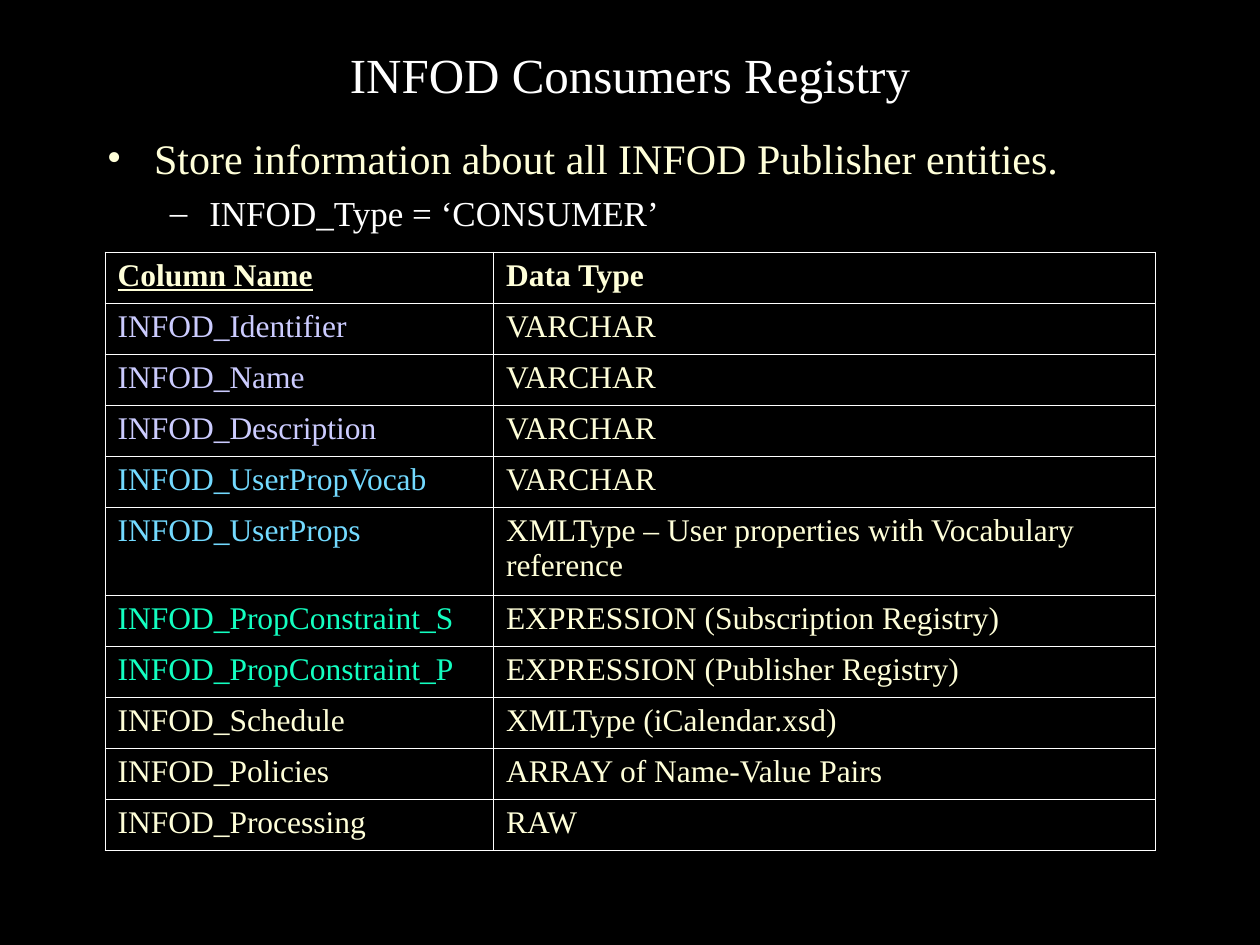
from dataclasses import dataclass
from typing import Any

from lxml import etree
from pptx import Presentation
from pptx import util as u
from pptx.dml import color
from pptx.enum import text
from pptx.oxml import ns

Pt = u.Pt


@dataclass(frozen=True)
class Theme:
    font: str = "Times New Roman"
    background: str = "000000"
    white: str = "FFFFFF"
    cream: str = "FFFFD9"
    lavender: str = "CCCCFF"
    sky: str = "73DAFF"
    mint: str = "13FFC1"
    title_size: float = 28
    point_size: float = 24
    subpoint_size: float = 20
    table_size: float = 18
    border_width: float = 0.45


@dataclass(frozen=True)
class Bullet:
    wording: str
    mark: str
    level: int
    left: float
    hang: float
    before: float
    size: float
    ink: str


@dataclass(frozen=True)
class Field:
    name: str
    data_type: str
    ink: str
    height: float


THEME = Theme()
TABLE_HEIGHT = 342
TALL_ROW = 50.4
ROW = (TABLE_HEIGHT - TALL_ROW) / 10

BULLETS = [
    Bullet("Store information about all INFOD Publisher entities.", "•", 0,
           27, 27, 0, THEME.point_size, THEME.cream),
    Bullet("INFOD_Type = ‘CONSUMER’", "–", 1,
           58.5, 22.5, 5, THEME.subpoint_size, THEME.white),
]

FIELDS = [
    Field("Column Name", "Data Type", THEME.cream, ROW),
    Field("INFOD_Identifier", "VARCHAR", THEME.lavender, ROW),
    Field("INFOD_Name", "VARCHAR", THEME.lavender, ROW),
    Field("INFOD_Description", "VARCHAR", THEME.lavender, ROW),
    Field("INFOD_UserPropVocab", "VARCHAR", THEME.sky, ROW),
    Field("INFOD_UserProps", "XMLType – User properties with Vocabulary reference",
          THEME.sky, TALL_ROW),
    Field("INFOD_PropConstraint_S", "EXPRESSION (Subscription Registry)", THEME.mint, ROW),
    Field("INFOD_PropConstraint_P", "EXPRESSION (Publisher Registry)", THEME.mint, ROW),
    Field("INFOD_Schedule", "XMLType (iCalendar.xsd)", THEME.cream, ROW),
    Field("INFOD_Policies", "ARRAY of Name-Value Pairs", THEME.cream, ROW),
    Field("INFOD_Processing", "RAW", THEME.cream, ROW),
]


def apply(target: Any, values: dict[str, Any]) -> None:
    for attribute, value in values.items():
        setattr(target, attribute, value)


def write(paragraph: Any, wording: str, size: float, ink: str, **extra: Any) -> None:
    run = paragraph.add_run()
    run.text = wording
    apply(run.font, {"name": THEME.font, "size": Pt(size), **extra})
    run.font.color.rgb = color.RGBColor.from_string(ink)


def add_frame(slide: Any, left: float, top: float, width: float, height: float,
              anchor: Any) -> Any:
    frame = slide.shapes.add_textbox(Pt(left), Pt(top), Pt(width), Pt(height)).text_frame
    apply(frame, {"word_wrap": True, "vertical_anchor": anchor})
    return frame


def add_bullet(paragraph: Any, bullet: Bullet) -> None:
    apply(paragraph, {"level": bullet.level, "space_before": Pt(bullet.before)})
    properties = paragraph._p.get_or_add_pPr()
    properties.set("marL", str(Pt(bullet.left)))
    properties.set("indent", str(-Pt(bullet.hang)))
    tint = etree.SubElement(properties, ns.qn("a:buClr"))
    etree.SubElement(tint, ns.qn("a:srgbClr"), val=bullet.ink)
    etree.SubElement(properties, ns.qn("a:buFont"), typeface=THEME.font)
    etree.SubElement(properties, ns.qn("a:buChar"), char=bullet.mark)
    write(paragraph, bullet.wording, bullet.size, bullet.ink)


def add_borders(cell: Any) -> None:
    properties = cell._tc.get_or_add_tcPr()
    for position, side in enumerate(("lnL", "lnR", "lnT", "lnB")):
        border = etree.Element(ns.qn(f"a:{side}"), w=str(Pt(THEME.border_width)))
        fill = etree.SubElement(border, ns.qn("a:solidFill"))
        etree.SubElement(fill, ns.qn("a:srgbClr"), val=THEME.white)
        properties.insert(position, border)


def fill_cell(cell: Any, wording: str, ink: str, bold: bool, underline: bool) -> None:
    cell.fill.background()
    add_borders(cell)
    write(cell.text_frame.paragraphs[0], wording, THEME.table_size, ink,
          bold=bold, underline=underline)


def add_registry(slide: Any, fields: list[Field]) -> None:
    registry = slide.shapes.add_table(len(fields), 2, Pt(60), Pt(144),
                                      Pt(600), Pt(TABLE_HEIGHT)).table
    apply(registry, {"first_row": False, "horz_banding": False})
    for column, width in zip(registry.columns, (222, 378)):
        column.width = Pt(width)
    for index, field in enumerate(fields):
        header = index == 0
        registry.rows[index].height = Pt(field.height)
        fill_cell(registry.cell(index, 0), field.name, field.ink, header, header)
        fill_cell(registry.cell(index, 1), field.data_type, THEME.cream, header, False)


def main() -> None:
    deck = Presentation()
    apply(deck, {"slide_width": Pt(720), "slide_height": Pt(540)})
    slide = deck.slides.add_slide(deck.slide_layouts[6])
    backdrop = slide.background.fill
    backdrop.solid()
    backdrop.fore_color.rgb = color.RGBColor.from_string(THEME.background)

    heading = add_frame(slide, 54, 12, 612, 60, text.MSO_ANCHOR.MIDDLE).paragraphs[0]
    heading.alignment = text.PP_ALIGN.CENTER
    write(heading, "INFOD Consumers Registry", THEME.title_size, THEME.white)

    summary = add_frame(slide, 54, 72, 624, 72, text.MSO_ANCHOR.TOP)
    for index, bullet in enumerate(BULLETS):
        add_bullet(summary.add_paragraph() if index else summary.paragraphs[0], bullet)

    add_registry(slide, FIELDS)
    deck.save("out.pptx")


if __name__ == "__main__":
    main()
